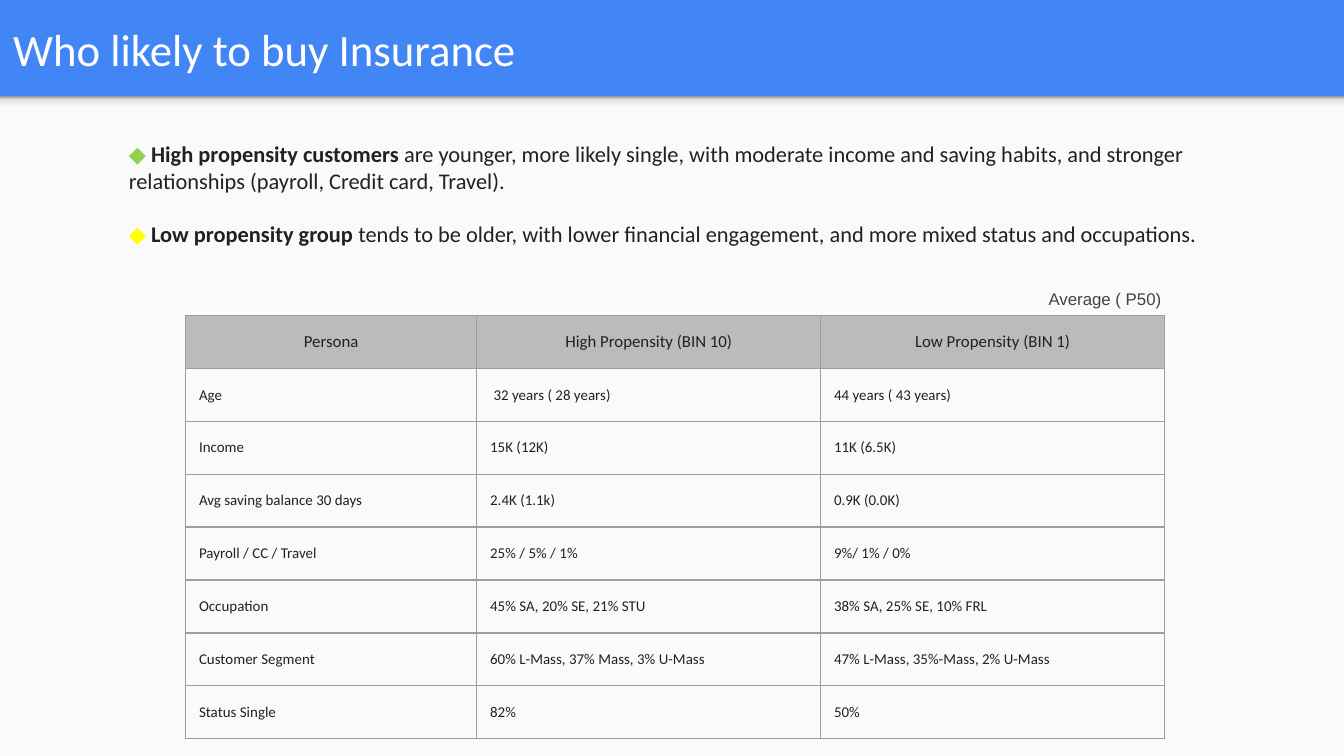
from lxml.etree import SubElement
from pptx import Presentation
from pptx.dml.color import RGBColor
from pptx.enum.shapes import MSO_SHAPE
from pptx.enum.text import MSO_ANCHOR, PP_ALIGN
from pptx.oxml.ns import qn
from pptx.util import Pt

COLORS = {
    "blue": "4285F4", "paper": "FAFAFA", "white": "FFFFFF", "ink": "212121",
    "gray": "424242", "header": "BBBBBB", "border": "9E9E9E",
    "green": "92D050", "yellow": "FFFF00",
}
SHADOW_STOPS = [(0, "F9F9F9"), (36, "F9F9F9"), (80, "DEDEDE"), (100, "999999")]
INSET = Pt(7.2)


class SlideBuilder:
    def __init__(self, slide, font="Calibri"):
        self.slide = slide
        self.font = font

    def color(self, name):
        return RGBColor.from_string(COLORS[name])

    def background(self, color):
        fill = self.slide.background.fill
        fill.solid()
        fill.fore_color.rgb = self.color(color)

    def box(self, left, top, width, height, color=None):
        rect = self.slide.shapes.add_shape(
            MSO_SHAPE.RECTANGLE, Pt(left), Pt(top), Pt(width), Pt(height))
        rect.shadow.inherit = False
        rect.line.fill.background()
        if color:
            rect.fill.solid()
            rect.fill.fore_color.rgb = self.color(color)
        return rect

    def gradient_box(self, left, top, width, height, stops, angle):
        rect = self.box(left, top, width, height)
        rect.fill.gradient()
        rect.fill.gradient_angle = angle
        stop_list = next(rect.element.iter(qn("a:gsLst")))
        for old_stop in list(stop_list):
            stop_list.remove(old_stop)
        for position, shade in stops:
            stop = SubElement(stop_list, qn("a:gs"), pos=str(position * 1000))
            SubElement(stop, qn("a:srgbClr"), val=shade)

    def add_runs(self, paragraph, runs, size, font=None, align=PP_ALIGN.LEFT):
        paragraph.alignment = align
        for words, color, bold in runs:
            run = paragraph.add_run()
            run.text = words
            run.font.size = Pt(size)
            run.font.name = font or self.font
            run.font.bold = bold
            run.font.color.rgb = self.color(color)

    def text(self, left, top, width, height, paragraphs, size, font=None,
             align=PP_ALIGN.LEFT, anchor=MSO_ANCHOR.TOP, gap=0):
        frame = self.slide.shapes.add_textbox(
            Pt(left), Pt(top), Pt(width), Pt(height)).text_frame
        frame.word_wrap = True
        frame.vertical_anchor = anchor
        frame.margin_left = frame.margin_right = INSET
        frame.margin_top = frame.margin_bottom = INSET
        for index, runs in enumerate(paragraphs):
            paragraph = frame.add_paragraph() if index else frame.paragraphs[0]
            paragraph.space_before = Pt(gap if index else 0)
            self.add_runs(paragraph, runs, size, font, align)

    def borders(self, cell, color, width):
        properties = cell._tc.get_or_add_tcPr()
        for side in ("a:lnL", "a:lnR", "a:lnT", "a:lnB"):
            line = SubElement(properties, qn(side), w=str(Pt(width)))
            fill = SubElement(line, qn("a:solidFill"))
            SubElement(fill, qn("a:srgbClr"), val=COLORS[color])

    def table(self, left, top, widths, row_height, rows):
        table = self.slide.shapes.add_table(
            len(rows), len(widths), Pt(left), Pt(top),
            Pt(sum(widths)), Pt(row_height * len(rows))).table
        for column, width in zip(table.columns, widths):
            column.width = Pt(width)
        for row_index, row in enumerate(rows):
            table.rows[row_index].height = Pt(row_height)
            is_header = row_index == 0
            for column_index, words in enumerate(row):
                cell = table.cell(row_index, column_index)
                cell.vertical_anchor = MSO_ANCHOR.MIDDLE
                cell.margin_left = cell.margin_right = INSET
                cell.margin_top = cell.margin_bottom = INSET
                self.borders(cell, "border", 0.75)
                if is_header:
                    cell.fill.solid()
                    cell.fill.fore_color.rgb = self.color("header")
                else:
                    cell.fill.background()
                self.add_runs(cell.text_frame.paragraphs[0],
                              [(words, "ink", False)], 9 if is_header else 8,
                              align=PP_ALIGN.CENTER if is_header else PP_ALIGN.LEFT)


def main():
    deck = Presentation()
    deck.slide_width, deck.slide_height = Pt(720), Pt(405)
    page = SlideBuilder(deck.slides.add_slide(deck.slide_layouts[6]))

    page.background("blue")
    page.box(0, 51.6, 720, 353.4, "paper")
    page.gradient_box(0, 51.6, 720, 8.4, SHADOW_STOPS, 90)
    page.text(0, 0, 694.8, 47.4,
              [[("Who likely to buy Insurance", "white", False)]],
              24, anchor=MSO_ANCHOR.BOTTOM)

    persona_rows = [
        ("Persona", "High Propensity (BIN 10)", "Low Propensity (BIN 1)"),
        ("Age", " 32 years ( 28 years)", "44 years ( 43 years)"),
        ("Income", "15K (12K)", "11K (6.5K)"),
        ("Avg saving balance 30 days", "2.4K (1.1k)", "0.9K (0.0K)"),
        ("Payroll / CC / Travel", "25% / 5% / 1%", "9%/ 1% / 0%"),
        ("Occupation", "45% SA, 20% SE, 21% STU", "38% SA, 25% SE, 10% FRL"),
        ("Customer Segment", "60% L-Mass, 37% Mass, 3% U-Mass",
         "47% L-Mass, 35%-Mass, 2% U-Mass"),
        ("Status Single", "82%", "50%"),
    ]
    page.table(99.4, 169, [156, 184.2, 184.2], 28.35, persona_rows)
    page.text(537.8, 149, 91.4, 25.2, [[("Average ( P50)", "gray", False)]],
              9, font="Arial", align=PP_ALIGN.RIGHT)

    findings = [
        ("green", "High propensity customers",
         " are younger, more likely single, with moderate income and saving "
         "habits, and stronger relationships (payroll, Credit card, Travel)."),
        ("yellow", "Low propensity group",
         " tends to be older, with lower financial engagement, and more mixed "
         "status and occupations."),
    ]
    page.text(61.9, 67.7, 596.2, 87.1,
              [[("◆ ", marker, True), (group, "ink", True), (finding, "ink", False)]
               for marker, group, finding in findings],
              12, gap=14.4)

    deck.save("out.pptx")


if __name__ == "__main__":
    main()
